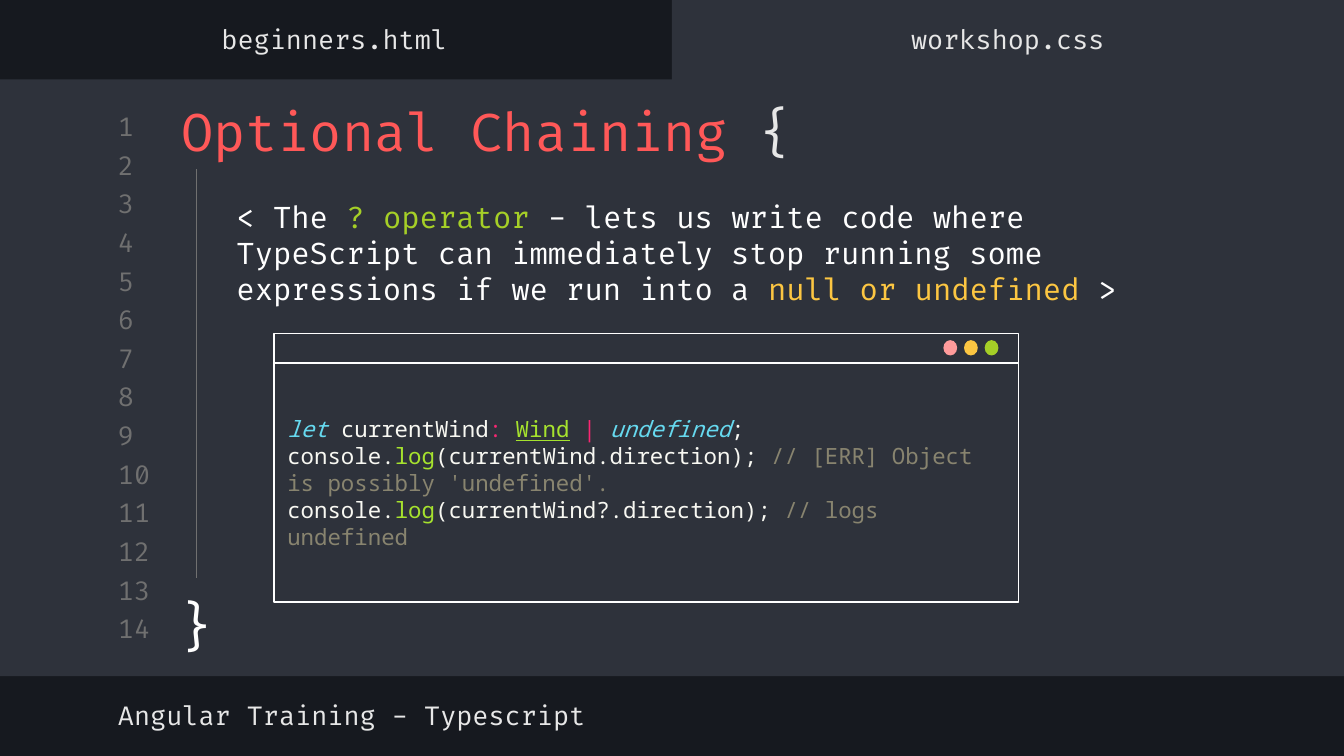
import pptx
import pptx.dml.color
import pptx.enum.shapes
import pptx.enum.text
import pptx.oxml.ns
import pptx.util
from lxml import etree

Cm = pptx.util.Cm
Pt = pptx.util.Pt
RGB = pptx.dml.color.RGBColor
SHAPE = pptx.enum.shapes.MSO_SHAPE
ANCHOR = pptx.enum.text.MSO_ANCHOR
ALIGN = pptx.enum.text.PP_ALIGN

DARK = RGB(0x16, 0x19, 0x1F)
PANEL = RGB(0x2E, 0x32, 0x3B)
GREY = RGB(0x70, 0x70, 0x70)
LIGHT = RGB(0xE7, 0xE7, 0xE7)
WHITE = RGB(0xFF, 0xFF, 0xFF)
RED = RGB(0xFF, 0x58, 0x58)
PINK = RGB(0xFF, 0x9B, 0x9B)
YELLOW = RGB(0xFC, 0xC6, 0x42)
GREEN = RGB(0xA5, 0xCF, 0x27)
CODE_TEXT = RGB(0xF8, 0xF8, 0xF2)
CODE_BLUE = RGB(0x66, 0xD9, 0xEF)
CODE_PINK = RGB(0xF9, 0x26, 0x72)
CODE_GREEN = RGB(0xA6, 0xE2, 0x2E)
CODE_COMMENT = RGB(0x88, 0x84, 0x6F)

FRAME = {
    "word_wrap": True,
    "auto_size": pptx.enum.text.MSO_AUTO_SIZE.NONE,
    "margin_left": Cm(0.25),
    "margin_right": Cm(0.25),
    "margin_top": Cm(0.25),
    "margin_bottom": Cm(0.25),
}


def write(sp, paragraphs, size, anchor=ANCHOR.MIDDLE, align=ALIGN.LEFT,
          font="Fira Code", spacing=None):
    tf = sp.text_frame
    for name, value in {**FRAME, "vertical_anchor": anchor}.items():
        setattr(tf, name, value)
    for i, runs in enumerate(paragraphs):
        p = tf.add_paragraph() if i else tf.paragraphs[0]
        p.alignment = align
        if spacing:
            p.line_spacing = spacing
        for text, color, *style in runs:
            r = p.add_run()
            r.text = text
            r.font.color.rgb = color
            fmt = {"name": font, "size": Pt(size), **dict.fromkeys(style, True)}
            for name, value in fmt.items():
                setattr(r.font, name, value)


def add_shape(kind, box, fill, line=None):
    sp = s.shapes.add_shape(kind, *map(Cm, box))
    sp.shadow.inherit = False
    sp.fill.solid()
    sp.fill.fore_color.rgb = fill
    if line is None:
        sp.line.fill.background()
    else:
        sp.line.color.rgb = line
        sp.line.width = Pt(0.75)
    return sp


prs = pptx.Presentation()
prs.slide_width = Cm(25.4)
prs.slide_height = Cm(14.29)
s = prs.slides.add_slide(prs.slide_layouts[5])
s.background.fill.solid()
s.background.fill.fore_color.rgb = DARK

add_shape(SHAPE.RECTANGLE, (0, 1.5, 25.4, 11.28), PANEL)
add_shape(SHAPE.RECTANGLE, (12.7, 0, 12.7, 1.75), PANEL)

for i in range(14):
    sp = s.shapes.add_textbox(Cm(1.98), Cm(2.08 + 0.73 * i), Cm(1.19), Cm(0.61))
    write(sp, [[(str(i + 1), GREY)]], 14)

title = s.shapes.title
s.shapes.element.append(title.element)
title_box = {"left": 3.18, "top": 1.63, "width": 20.24, "height": 1.5}
for name, value in title_box.items():
    setattr(title, name, Cm(value))
write(title, [[("Optional Chaining ", RED), ("{", LIGHT)]], 28, ANCHOR.TOP)

sp = s.shapes.add_textbox(Cm(3.02), Cm(10.97), Cm(1.4), Cm(1.7))
write(sp, [[("}", WHITE)]], 28, ANCHOR.TOP, ALIGN.CENTER)

line = s.shapes.add_connector(
    pptx.enum.shapes.MSO_CONNECTOR.STRAIGHT, Cm(3.71), Cm(3.2), Cm(3.71), Cm(10.92))
line.line.color.rgb = GREY
line.line.width = Pt(0.75)
etree.SubElement(line.element.spPr, pptx.oxml.ns.qn("a:effectLst"))

for text, left, top, width, align in [
    ("Angular Training - Typescript", 1.98, 13.03, 13.51, ALIGN.LEFT),
    ("beginners.html", -0.03, 0.25, 12.7, ALIGN.CENTER),
    ("workshop.css", 12.7, 0.25, 12.7, ALIGN.CENTER),
]:
    sp = s.shapes.add_textbox(Cm(left), Cm(top), Cm(width), Cm(0.99))
    write(sp, [[(text, LIGHT)]], 14, align=align)

sp = s.shapes.add_textbox(Cm(4.22), Cm(3.25), Cm(18.19), Cm(3.05))
write(sp, [[
    ("< The ", WHITE),
    ("? operator", GREEN),
    (" - lets us write code where TypeScript can immediately stop running "
     "some expressions if we run into a ", WHITE),
    ("null or undefined ", YELLOW),
    (">", WHITE),
]], 16)

code = [[
    ("let ", CODE_BLUE, "italic"),
    ("currentWind", CODE_TEXT),
    (": ", CODE_PINK),
    ("Wind", CODE_GREEN, "underline"),
    (" ", CODE_TEXT),
    ("| ", CODE_PINK),
    ("undefined", CODE_BLUE, "italic"),
    (";", CODE_TEXT),
]]
for call, comment in [
    ("(currentWind.direction); ", "// [ERR] Object is possibly 'undefined'."),
    ("(currentWind?.direction); ", "// logs undefined"),
]:
    code.append([("console.", CODE_TEXT), ("log", CODE_GREEN),
                 (call, CODE_TEXT), (comment, CODE_COMMENT)])

sp = add_shape(SHAPE.RECTANGLE, (5.18, 6.86, 14.07, 4.52), PANEL, WHITE)
write(sp, code, 12, font="Noto Sans Mono", spacing=Pt(14.5))
add_shape(SHAPE.RECTANGLE, (5.18, 6.3, 14.07, 0.56), PANEL, WHITE)
for i, color in enumerate([PINK, YELLOW, GREEN]):
    add_shape(SHAPE.OVAL, (17.83 + 0.39 * i, 6.43, 0.26, 0.29), color)

prs.save("out.pptx")
